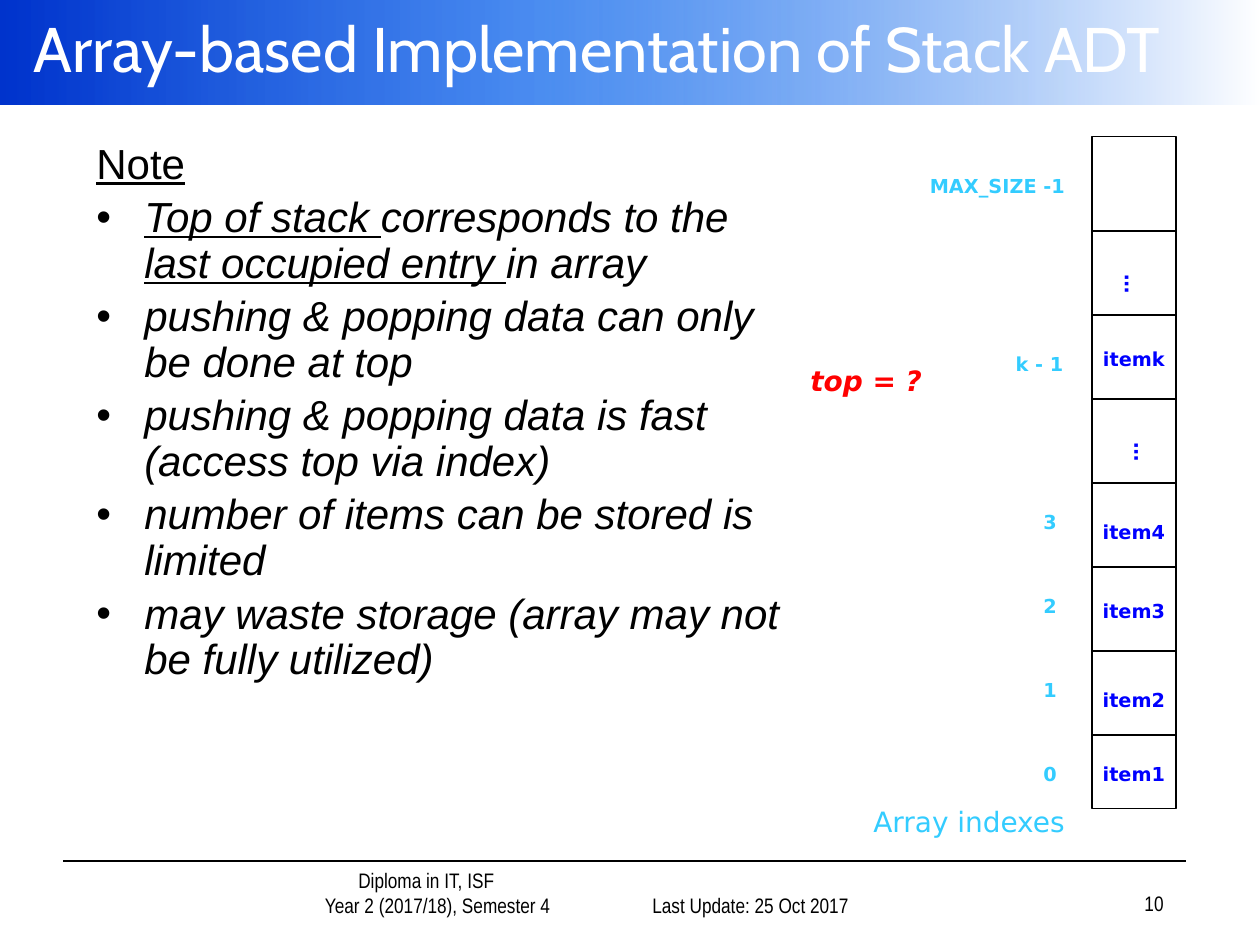
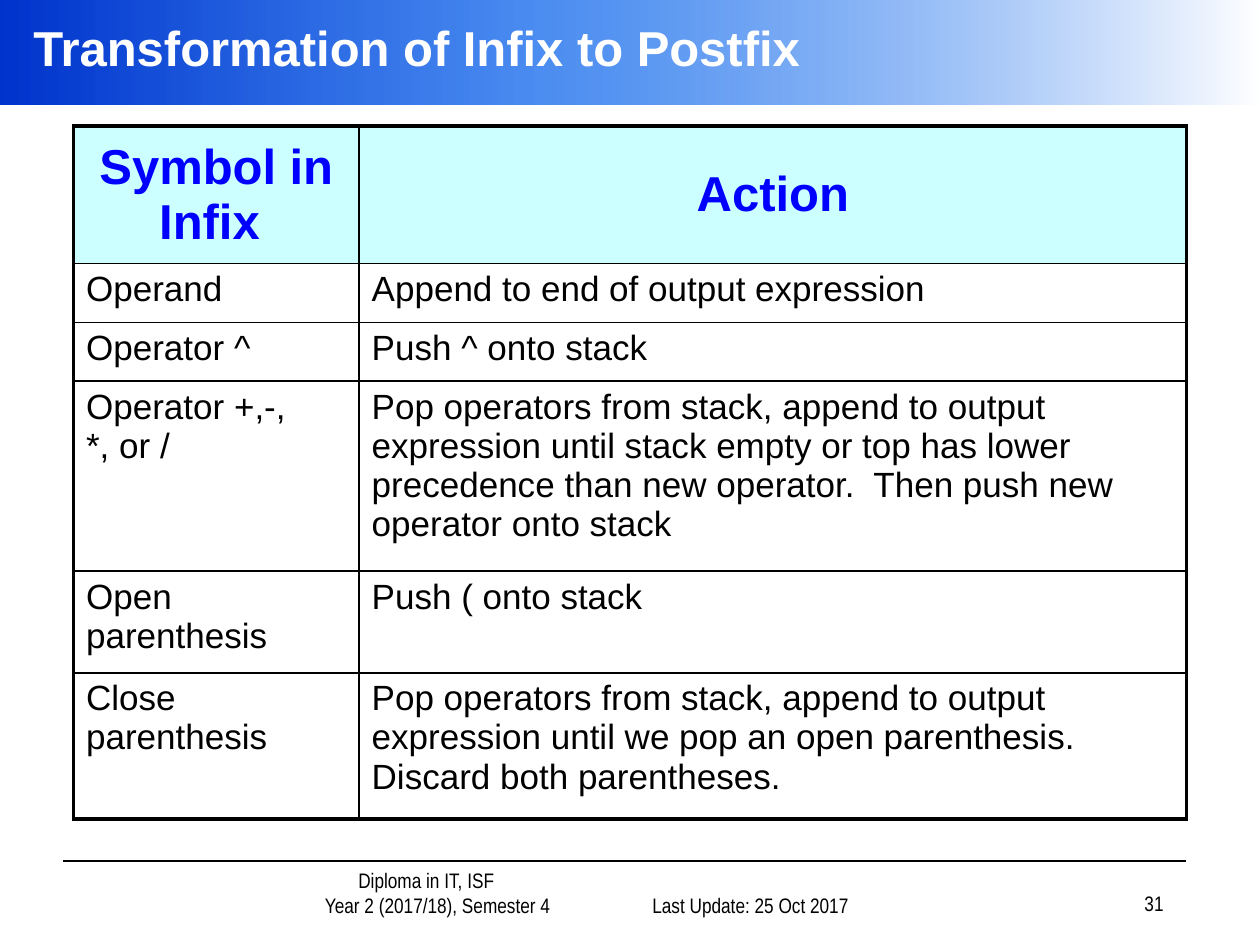
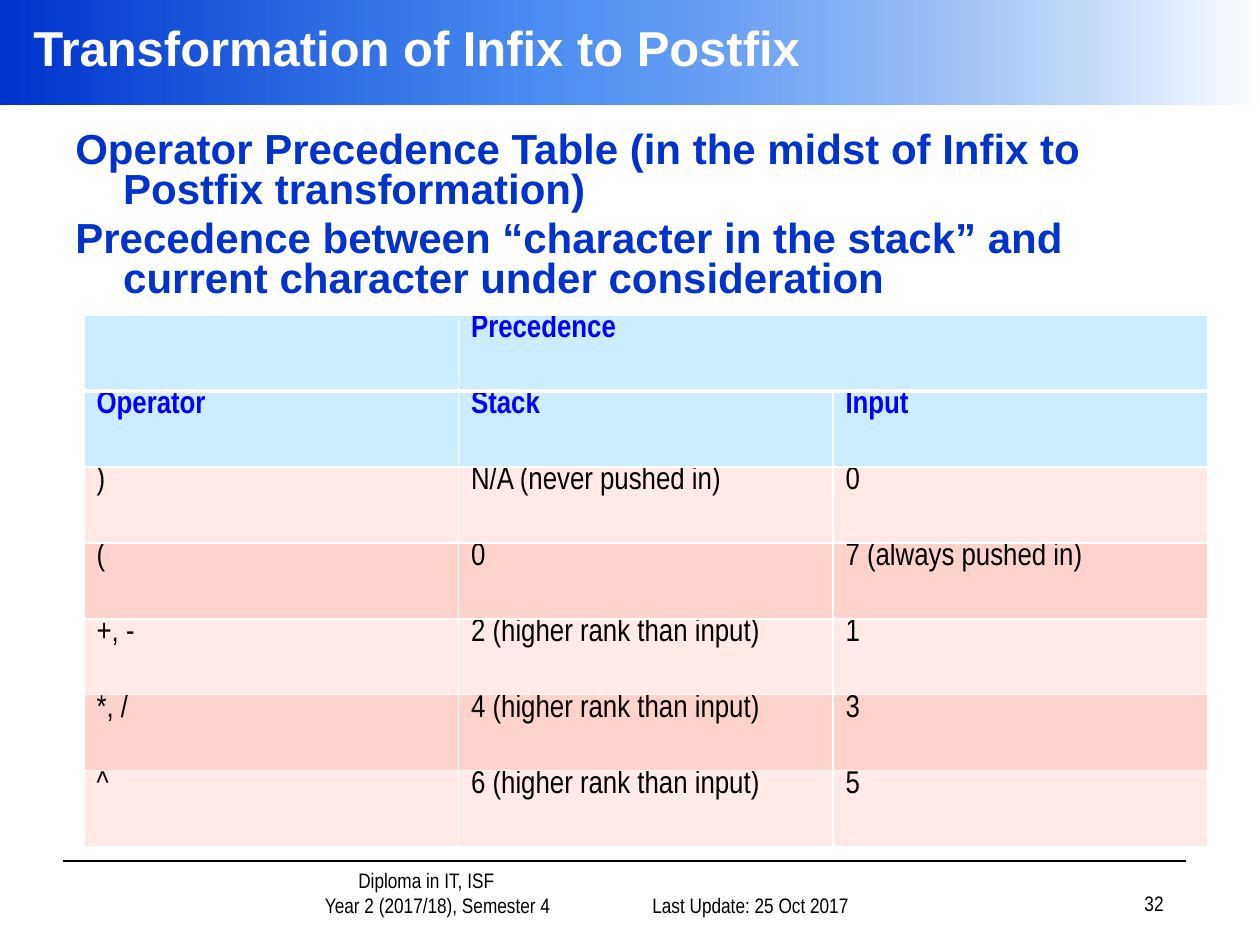
from dataclasses import dataclass

from lxml.etree import SubElement
from pptx import Presentation
from pptx.dml.color import RGBColor
from pptx.enum.shapes import MSO_CONNECTOR, MSO_SHAPE
from pptx.enum.text import MSO_ANCHOR, PP_ALIGN
from pptx.oxml.ns import qn
from pptx.util import Inches, Pt


@dataclass(frozen=True)
class Theme:
    white: str = "FFFFFF"
    black: str = "000000"
    navy: str = "0033CC"
    mid_blue: str = "005EEB"
    blue: str = "0000FF"
    sky: str = "33CCFF"
    red: str = "FF0000"
    action_head: str = "CCFFFF"
    precedence_head: str = "CCECFF"
    bands: tuple = ("FFEAE7", "FFD3CB")
    sans: str = "Arial"
    narrow: str = "Arial Narrow"
    code: str = "DejaVu Sans"
    display: str = "Cabin"
    title: int = 28
    big_title: int = 36
    body: int = 24
    cell: int = 20
    small_cell: int = 18
    caption: int = 16
    label: int = 11
    footer: int = 12


T = Theme()
COLS, ROWS = 120, 90  # grid of the whole slide, twelve units to the inch
CELL_H = 8            # grid rows per array element


def u(n):
    """Grid units to a length."""
    return Inches(n / 12)


@dataclass(frozen=True)
class Style:
    font: str
    size: int
    color: str
    bold: bool = False
    italic: bool = False
    underline: bool = False


def add_run(p, text, style):
    r = p.add_run()
    r.text = text
    f = r.font
    f.name, f.size = style.font, Pt(style.size)
    f.bold, f.italic, f.underline = style.bold, style.italic, style.underline
    f.color.rgb = RGBColor.from_string(style.color)


def set_indent(p, left, first=0):
    pPr = p._p.get_or_add_pPr()
    pPr.set("marL", str(Inches(left)))
    pPr.set("indent", str(Inches(first)))
    return pPr


def add_box(s, x, y, w, h, anchor=MSO_ANCHOR.TOP):
    sp = s.shapes.add_textbox(u(x), u(y), u(w), u(h))
    sp.text_frame.word_wrap = True
    sp.text_frame.vertical_anchor = anchor
    return sp


def add_label(s, text, style, x, y, w, h, align=PP_ALIGN.LEFT, anchor=MSO_ANCHOR.TOP):
    sp = add_box(s, x, y, w, h, anchor)
    p = sp.text_frame.paragraphs[0]
    p.alignment = align
    add_run(p, text, style)
    return sp


def add_paragraphs(s, paragraphs, line_spacing, x, y, w, h):
    """Hanging paragraphs, each a (bullet, [(text, style), ...]) pair."""
    tf = add_box(s, x, y, w, h).text_frame
    for i, (bullet, runs) in enumerate(paragraphs):
        p = tf.add_paragraph() if i else tf.paragraphs[0]
        p.line_spacing, p.space_before = line_spacing, Pt(4.8)
        pPr = set_indent(p, 0.38, -0.38)
        if bullet:
            SubElement(pPr, qn("a:buFont"), typeface=T.sans)
            SubElement(pPr, qn("a:buChar"), char=bullet)
        for text, style in runs:
            add_run(p, text, style)


def add_line(s, x1, x2, y):
    c = s.shapes.add_connector(MSO_CONNECTOR.STRAIGHT, u(x1), u(y), u(x2), u(y))
    c.line.color.rgb = RGBColor.from_string(T.black)
    c.line.width = Pt(1)
    SubElement(c._element.spPr, qn("a:effectLst"))


def add_title_band(s):
    band = s.shapes.add_shape(MSO_SHAPE.RECTANGLE, 0, 0, u(COLS), u(10))
    band.shadow.inherit = False
    band.line.fill.background()
    band.fill.gradient()
    band.fill.gradient_angle = 0
    stops = band._element.spPr.find(qn("a:gradFill")).find(qn("a:gsLst"))
    for stop in list(stops):
        stops.remove(stop)
    for pos, color, alpha in ((0, T.navy, 100), (43, T.mid_blue, 70), (100, T.white, 100)):
        gs = SubElement(stops, qn("a:gs"), pos=str(pos * 1000))
        clr = SubElement(gs, qn("a:srgbClr"), val=color)
        if alpha < 100:
            SubElement(clr, qn("a:alpha"), val=str(alpha * 1000))


def add_footer(s, number):
    style = Style(T.narrow, T.footer, T.black)
    tf = add_box(s, 20.2, 83, 34.8, 5, MSO_ANCHOR.BOTTOM).text_frame
    lines = (("Diploma in IT, ISF", 0.5), ("Year 2 (2017/18), Semester 4", 0.68))
    for i, (text, left) in enumerate(lines):
        p = tf.add_paragraph() if i else tf.paragraphs[0]
        p.alignment = PP_ALIGN.CENTER
        set_indent(p, left)
        add_run(p, text, style)
    for text, x, y in (("Last Update: 25 Oct 2017", 57, 83), (str(number), 87, 82.8)):
        add_label(s, text, style, x, y, 25, 5, PP_ALIGN.RIGHT, MSO_ANCHOR.BOTTOM)
    add_line(s, 6, 113, 82)


def new_slide(prs, title, number, style=Style(T.sans, T.title, T.white, bold=True)):
    s = prs.slides.add_slide(prs.slide_layouts[6])
    add_title_band(s)
    add_footer(s, number)
    add_label(s, title, style, 2, 0, 118, 9, anchor=MSO_ANCHOR.MIDDLE)
    return s


def set_borders(cell, color, widths):
    """Widths in points: left, right, top, bottom."""
    tcPr = cell._tc.get_or_add_tcPr()
    for side, width in zip("LRTB", widths):
        ln = SubElement(tcPr, qn(f"a:ln{side}"), w=str(Pt(width)))
        fill = SubElement(ln, qn("a:solidFill"))
        SubElement(fill, qn("a:srgbClr"), val=color)


def add_grid(s, x, y, widths, heights):
    tbl = s.shapes.add_table(len(heights), len(widths), u(x), u(y),
                             u(sum(widths)), u(sum(heights))).table
    tbl.first_row = tbl.horz_banding = False
    for col, w in zip(tbl.columns, widths):
        col.width = u(w)
    for row, h in zip(tbl.rows, heights):
        row.height = u(h)
    return tbl


def fill_cell(cell, text, style, fill, border, widths):
    set_borders(cell, border, widths)
    cell.fill.solid()
    cell.fill.fore_color.rgb = RGBColor.from_string(fill)
    p = cell.text_frame.paragraphs[0]
    for i, line in enumerate(text.split("\n")):
        if i:
            p.add_line_break()
        if line:
            add_run(p, line, style)
    return p


def add_array(s):
    item_style = Style(T.code, T.label, T.blue, bold=True)
    index_style = Style(T.code, T.label, T.sky, bold=True)
    frame = s.shapes.add_shape(MSO_SHAPE.RECTANGLE, u(104), u(13), u(8), u(64))
    frame.shadow.inherit = False
    frame.fill.background()
    frame.line.color.rgb = RGBColor.from_string(T.black)
    frame.line.width = Pt(1)
    # Bottom element first: text, left, distance below the element's top
    items = (("item1", 102, 2), ("item2", 102, 3), ("item3", 102, 2.5), ("item4", 102, 3),
             ("…", 102.7, 3.3), ("itemk", 102, 2.5), ("…", 101.8, 3.3))
    for i, (text, x, dy) in enumerate(items):
        top = 70 - CELL_H * i
        add_line(s, 104, 112, top)
        sp = add_label(s, text, item_style, x, top + dy, 12, 3.5, PP_ALIGN.CENTER)
        if text == "…":
            sp.rotation = 90
    # Element number, text, left, width, distance below the element's top
    indexes = [(i, str(i), 94, 12, 2) for i in range(4)]
    indexes += [(5, "k - 1", 93, 12, 3), (7, "MAX_SIZE -1", 83, 24, 2)]
    for i, text, x, w, dy in indexes:
        add_label(s, text, index_style, x, 70 - CELL_H * i + dy, w, 3.5, PP_ALIGN.CENTER)
    add_label(s, "Array indexes", Style(T.code, T.caption, T.sky), 82, 76, 27, 4.4)


def array_slide(prs):
    s = new_slide(prs, "Array-based Implementation of Stack ADT", 10,
                  Style(T.display, T.big_title, T.white))
    plain = Style(T.sans, T.body, T.black, italic=True)
    marked = Style(T.sans, T.body, T.black, italic=True, underline=True)
    heading = Style(T.sans, T.body, T.black, underline=True)
    notes = [
        (None, [("Note", heading)]),
        ("•", [("Top of stack ", marked), ("corresponds to the", plain),
               (" last occupied entry ", marked), ("in array", plain)]),
    ]
    notes += [("•", [(text, plain)]) for text in (
        "pushing & popping data can only be done at top",
        "pushing & popping data is fast (access top via index)",
        "number of items can be stored is limited",
        "may waste storage (array may not be fully utilized)")]
    add_paragraphs(s, notes, 0.9, 8, 13, 68, 64)
    add_label(s, "top = ?", Style(T.code, T.caption, T.red, bold=True, italic=True),
              76, 34, 18, 4.4)
    add_array(s)


def action_slide(prs):
    s = new_slide(prs, "Transformation of Infix to Postfix", 31)
    rows = (
        ("Symbol in Infix ", "Action"),
        ("Operand", "Append to end of output expression"),
        ("Operator ^", "Push ^ onto stack"),
        ("Operator +,-,\n*, or /",
         "Pop operators from stack, append to output expression until stack empty or top "
         "has lower precedence than new operator.  Then push new operator onto stack"),
        ("Open parenthesis", "Push ( onto stack"),
        ("Close parenthesis",
         "Pop operators from stack, append to output expression until we pop an open "
         "parenthesis.  Discard both parentheses."),
    )
    head = Style(T.sans, T.title, T.blue, bold=True)
    body = Style(T.sans, T.cell, T.black)
    thick, thin = 2.25, 1
    tbl = add_grid(s, 7, 12, (27.2, 78.8), (13.1, 5.6, 5.6, 18.1, 9.7, 13.9))
    for i, row in enumerate(rows):
        for j, text in enumerate(row):
            outer = (j == 0, j == 1, i == 0, i == len(rows) - 1)
            widths = [thick if edge else thin for edge in outer]
            cell = tbl.cell(i, j)
            p = fill_cell(cell, text, body if i else head,
                          T.white if i else T.action_head, T.black, widths)
            if i == 0:
                p.alignment = PP_ALIGN.CENTER
                cell.vertical_anchor = MSO_ANCHOR.MIDDLE


def precedence_slide(prs):
    s = new_slide(prs, "Transformation of Infix to Postfix", 32)
    rows = (
        ("", "Precedence", ""),
        ("Operator", "Stack", "Input"),
        (")", "N/A (never pushed in)", "0"),
        ("(", "0", "7 (always pushed in)"),
        ("+, -", "2 (higher rank than input)", "1"),
        ("*, /", "4 (higher rank than input)", "3"),
        ("^", "6 (higher rank than input)", "5"),
    )
    head = Style(T.narrow, T.small_cell, T.blue, bold=True)
    body = Style(T.narrow, T.small_cell, T.black)
    tbl = add_grid(s, 8, 30, [107 / 3] * 3, [50.64 / len(rows)] * len(rows))
    for i, row in enumerate(rows):
        is_head = i < 2
        fill = T.precedence_head if is_head else T.bands[i % 2]
        widths = (1, 1, 3 if i == 1 else 1, 3 if i == 0 else 1)
        for j, text in enumerate(row):
            cell = tbl.cell(i, j)
            cell.margin_top = cell.margin_bottom = 0
            fill_cell(cell, text, head if is_head else body, fill, T.white, widths)
    tbl.cell(0, 1).merge(tbl.cell(0, 2))
    intro = Style(T.sans, T.body, T.navy, bold=True)
    add_paragraphs(s, [(None, [(text, intro)]) for text in (
        "Operator Precedence Table (in the midst of Infix to Postfix transformation)",
        "Precedence between “character in the stack” and current character under "
        "consideration")], 0.8, 6, 12, 108, 17.5)


def main():
    prs = Presentation()
    prs.slide_width, prs.slide_height = u(COLS), u(ROWS)
    array_slide(prs)
    action_slide(prs)
    precedence_slide(prs)
    prs.save("out.pptx")


if __name__ == "__main__":
    main()
